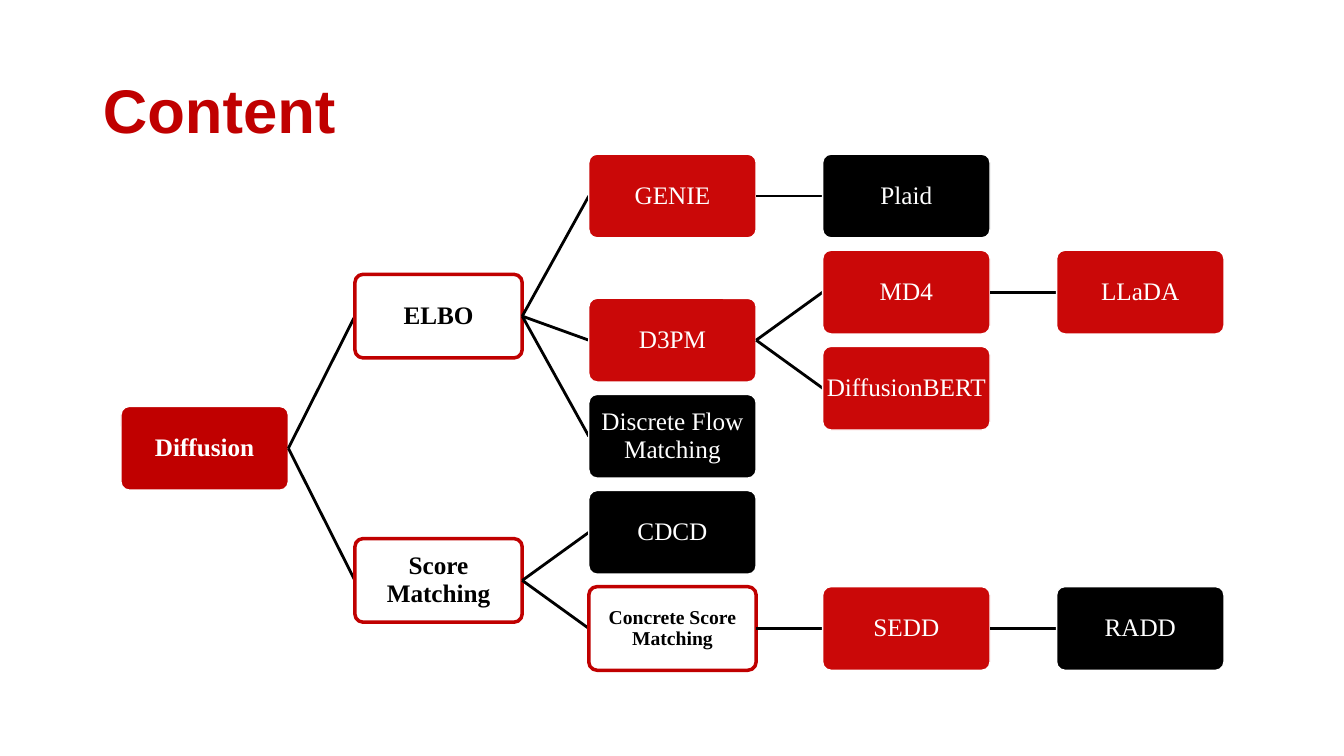
"""Build a slide with a tree of diffusion language models."""
import pptx
import pptx.dml.color
import pptx.enum.shapes
import pptx.enum.text
import pptx.util
from lxml import etree
from pptx.util import Inches

COLORS = {"title": "C00000", "red": "CA0808", "black": "000000", "white": "FFFFFF"}
STYLES = {
    "root": dict(fill="title", line="white", width=1, text="white", bold=True),
    "branch": dict(fill="white", line="title", width=2.5, text="black", bold=True),
    "red": dict(fill="red", line="white", width=1, text="white", bold=False),
    "black": dict(fill="black", line="white", width=1, text="white", bold=False),
}
TREE = ("Diffusion", "root", [
    ("ELBO", "branch", [
        ("GENIE", "red", [("Plaid", "black", 0)]),
        ("D3PM", "red", [
            ("MD4", "red", [("LLaDA", "red", 2)]),
            ("DiffusionBERT", "red", 4),
        ]),
        ("Discrete Flow Matching", "black", 5),
    ]),
    ("Score Matching", "branch", [
        ("CDCD", "black", 7),
        ("Concrete Score Matching", "branch", [
            ("SEDD", "red", [("RADD", "black", 9)]),
        ]),
    ]),
])
LEFT, TOP = 1.2, 1.53
BOX_W, BOX_H = 1.66, 0.83
COL_STEP, ROW_STEP = 2.32, 4.29 / 9
LEFT_SITE, RIGHT_SITE = 1, 3


def rgb(name):
    return pptx.dml.color.RGBColor.from_string(COLORS[name])


def row_of(node):
    """Return a leaf's own row, or the midpoint of the outer children."""
    rows = node[2]
    if isinstance(rows, list):
        return (row_of(rows[0]) + row_of(rows[-1])) / 2
    return rows


class TreeSlide:
    """Holds the slide and its fonts, and draws each kind of element."""

    def __init__(self, prs, title_font="Arial", box_font="Times New Roman"):
        self.s = prs.slides.add_slide(prs.slide_layouts[5])
        self.title_font, self.box_font = title_font, box_font

    def format(self, p, font, size, color, bold, align):
        p.alignment, p.line_spacing = align, 0.9
        p.font.name, p.font.size, p.font.bold = font, pptx.util.Pt(size), bold
        p.font.color.rgb = rgb(color)

    def title(self, text):
        sp = self.s.shapes.title
        sp.left, sp.top = Inches(0.92), Inches(0.4)
        sp.width, sp.height = Inches(11.5), Inches(1.45)
        tf = sp.text_frame
        tf.text = text
        tf.vertical_anchor = pptx.enum.text.MSO_ANCHOR.MIDDLE
        self.format(tf.paragraphs[0], self.title_font, 44, "title", True,
                    pptx.enum.text.PP_ALIGN.LEFT)

    def box(self, text, style, col, row, size):
        look = STYLES[style]
        sp = self.s.shapes.add_shape(
            pptx.enum.shapes.MSO_SHAPE.ROUNDED_RECTANGLE,
            Inches(LEFT + col * COL_STEP), Inches(TOP + row * ROW_STEP),
            Inches(BOX_W), Inches(BOX_H))
        sp.adjustments[0] = 0.1
        sp.shadow.inherit = False
        sp.fill.solid()
        sp.fill.fore_color.rgb = rgb(look["fill"])
        sp.line.color.rgb = rgb(look["line"])
        sp.line.width = pptx.util.Pt(look["width"])
        tf = sp.text_frame
        tf.text, tf.word_wrap = text, True
        tf.vertical_anchor = pptx.enum.text.MSO_ANCHOR.MIDDLE
        tf.margin_left = tf.margin_right = 0
        tf.margin_top = tf.margin_bottom = 0
        self.format(tf.paragraphs[0], self.box_font, size, look["text"],
                    look["bold"], pptx.enum.text.PP_ALIGN.CENTER)
        return sp

    def link(self):
        line = self.s.shapes.add_connector(
            pptx.enum.shapes.MSO_CONNECTOR.STRAIGHT, 0, 0, 0, 0)
        line.line.color.rgb = rgb("black")
        line.line.width = pptx.util.Pt(2)
        etree.SubElement(line._element.spPr, pptx.oxml.ns.qn("a:effectLst"))
        return line

    def tree(self, node, col=0):
        text, style, children = node
        size = 14 if text == "Concrete Score Matching" else 18
        parent = self.box(text, style, col, row_of(node), size)
        for child in children if isinstance(children, list) else []:
            line = self.link()
            sp = self.tree(child, col + 1)
            line.begin_connect(parent, RIGHT_SITE)
            line.end_connect(sp, LEFT_SITE)
        return parent


def main():
    prs = pptx.Presentation()
    prs.slide_width, prs.slide_height = Inches(13.33), Inches(7.5)
    slide = TreeSlide(prs)
    slide.title("Content")
    slide.tree(TREE)
    prs.save("out.pptx")


if __name__ == "__main__":
    main()
